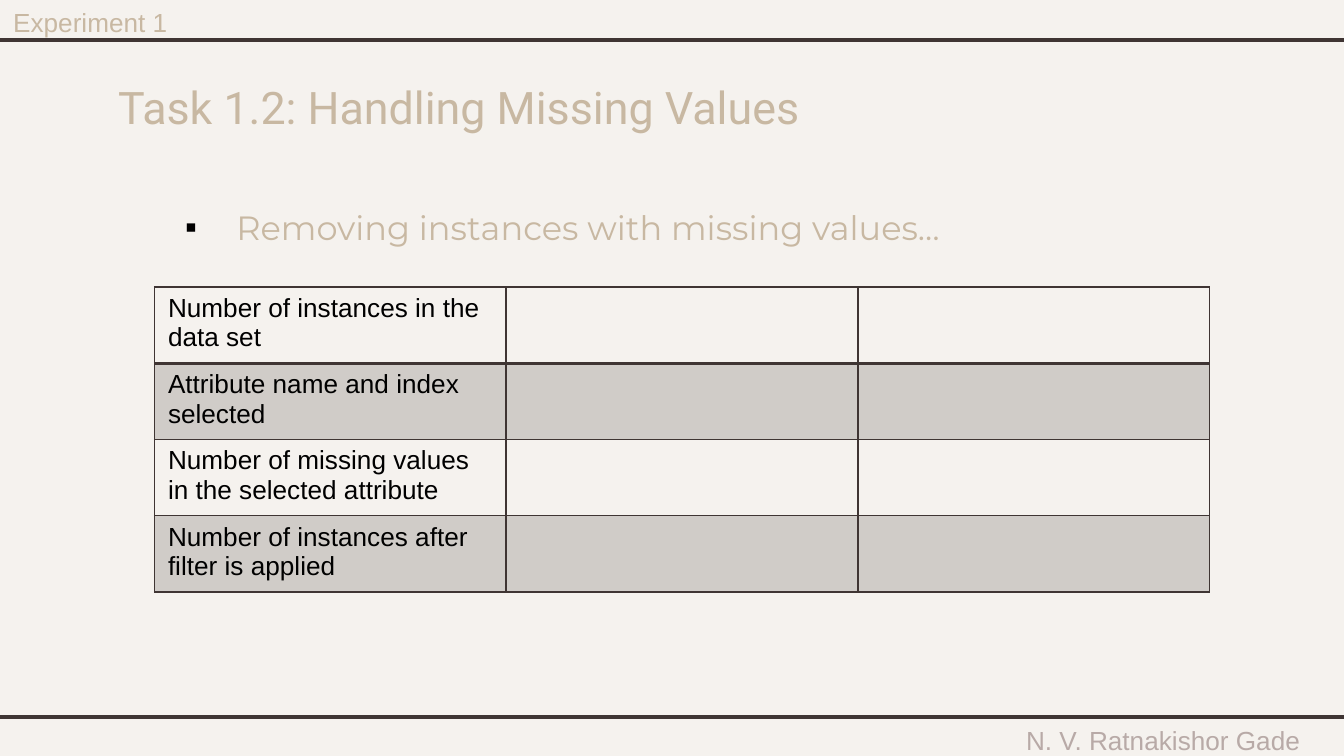
from lxml import etree
from pptx import Presentation
from pptx import util as u
from pptx.dml.color import RGBColor
from pptx.enum import shapes, text
from pptx.oxml.ns import qn

WIDTH = u.Inches(10)
HEIGHT = WIDTH * 9 // 16
UNIT = WIDTH // 100
COLORS = {"paper": "F5F2EE", "rule": "3F3533", "sand": "C8B8A2",
          "author": "B8AAA7", "ink": "000000"}
FORMATS = {
    "author": {"size": u.Pt(14), "name": "Arial", "color": "author"},
    "title": {"size": u.Pt(24), "name": "Roboto", "color": "sand"},
    "step": {"size": u.Pt(18), "name": "Montserrat", "color": "sand"},
    "experiment": {"size": u.Pt(14), "name": "Arial", "color": "sand"},
    "cell": {"size": u.Pt(14), "name": "Arial", "color": "ink"},
}
MEASURES = ["Number of instances in the data set",
            "Attribute name and index selected",
            "Number of missing values in the selected attribute",
            "Number of instances after filter is applied"]


def color(key):
    return RGBColor.from_string(COLORS[key])


def grid(*columns_and_rows):
    return [round(count * UNIT) for count in columns_and_rows]


def add(parent, tag, **attributes):
    return etree.SubElement(parent, qn(tag), attributes)


def style(paragraph, role):
    for key, value in FORMATS[role].items():
        if key == "color":
            paragraph.font.color.rgb = color(value)
        else:
            setattr(paragraph.font, key, value)


def write(slide, box, words, role, inset=0.1, **frame_format):
    frame = slide.shapes.add_textbox(*box).text_frame
    settings = {"word_wrap": True, "margin_left": u.Inches(0.1),
                "margin_right": u.Inches(0.1), "margin_top": u.Inches(inset),
                "margin_bottom": u.Inches(inset), **frame_format}
    for key, value in settings.items():
        setattr(frame, key, value)
    paragraph = frame.paragraphs[0]
    paragraph.text = words
    style(paragraph, role)
    return paragraph


def add_rule(slide, row):
    left, y, right = grid(-0.8, row, 100.8)
    rule = slide.shapes.add_connector(
        shapes.MSO_CONNECTOR.STRAIGHT, left, y, right, y)
    rule.line.color.rgb = color("rule")
    rule.line.width = u.Pt(2.25)
    add(rule._element.spPr, "a:effectLst")


def add_step(slide, box, words):
    step = write(slide, box, words, "step")
    properties = step._p.get_or_add_pPr()
    properties.set("marL", str(u.Inches(0.88)))
    properties.set("indent", str(u.Inches(-0.38)))
    properties.set("lvl", "1")
    add(add(properties, "a:buClr"), "a:srgbClr", val=COLORS["ink"])
    add(properties, "a:buFont", typeface="Arial")
    add(properties, "a:buChar", char="▪")
    step.line_spacing = 1.15


def add_borders(cell, widths):
    properties = cell._tc.get_or_add_tcPr()
    for side, width in widths.items():
        line = add(properties, f"a:ln{side}", w=str(u.Pt(width)))
        add(add(line, "a:solidFill"), "a:srgbClr", val=COLORS["rule"])


def shade(cell, alpha):
    cell.fill.solid()
    cell.fill.fore_color.rgb = color("rule")
    tone = cell._tc.tcPr.find(f"{qn('a:solidFill')}/{qn('a:srgbClr')}")
    add(tone, "a:alpha", val=str(alpha * 1000))


def add_measures(slide, box, measures, columns=3):
    table = slide.shapes.add_table(len(measures), columns, *box).table
    table.first_row = table.horz_banding = False
    for row, measure in enumerate(measures):
        for column in range(columns):
            cell = table.cell(row, column)
            cell.text = "" if column else measure
            style(cell.text_frame.paragraphs[0], "cell")
            add_borders(cell, {"L": 1, "R": 1, "T": 2 if row == 1 else 1,
                               "B": 2 if row == 0 else 1})
            if row % 2:
                shade(cell, 20)
            else:
                cell.fill.background()


def build():
    deck = Presentation()
    deck.slide_width, deck.slide_height = WIDTH, HEIGHT
    slide = deck.slides.add_slide(deck.slide_layouts[6])
    slide.background.fill.solid()
    slide.background.fill.fore_color.rgb = color("paper")

    author = write(slide, grid(73.1, 54.1, 26.9, 1.9),
                   "N. V. Ratnakishor Gade", "author", inset=0.05,
                   vertical_anchor=text.MSO_ANCHOR.MIDDLE)
    author.alignment = text.PP_ALIGN.CENTER
    for row in (3, 53.35):
        add_rule(slide, row)
    write(slide, grid(7.8, 4.9, 63.5, 6.3),
          "Task 1.2: Handling Missing Values", "title")
    add_step(slide, grid(7.8, 13.95, 68.1, 36),
             "Removing instances with missing values…")
    write(slide, grid(0, 0, 13.6, 3.4), "Experiment 1", "experiment",
          inset=0.05, word_wrap=False,
          auto_size=text.MSO_AUTO_SIZE.SHAPE_TO_FIT_TEXT)
    add_measures(slide, grid(11.5, 21.35, 78.5, 22.7), MEASURES)
    deck.save("out.pptx")


if __name__ == "__main__":
    build()
